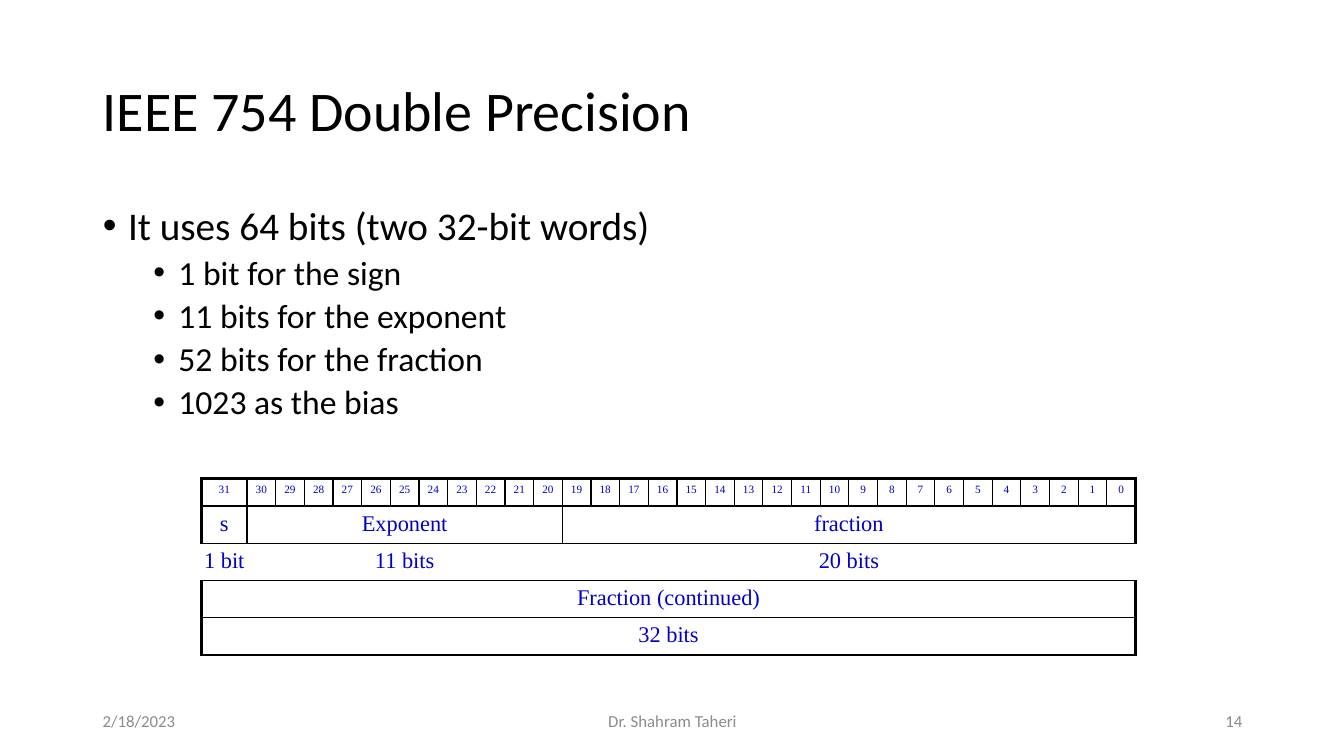
from lxml import etree
from pptx import Presentation
from pptx.dml.color import RGBColor
from pptx.enum.text import MSO_ANCHOR, MSO_AUTO_SIZE, PP_ALIGN
from pptx.oxml.ns import qn
from pptx.util import Inches, Pt

LEFT, CENTER, RIGHT = PP_ALIGN.LEFT, PP_ALIGN.CENTER, PP_ALIGN.RIGHT
MIDDLE = MSO_ANCHOR.MIDDLE
NO_FIT = MSO_AUTO_SIZE.NONE
COLORS = {"text": "000000", "bits": "0000CC", "line": "000000",
          "foot": "8C8C8C", "page": "898989"}
THIN, THICK = 1, 2.25

TITLE = "IEEE 754 Double Precision"
POINTS = [
    (0, "It uses 64 bits (two 32-bit words)"),
    (1, "1 bit for the sign"),
    (1, "11 bits for the exponent"),
    (1, "52 bits for the fraction"),
    (1, "1023 as the bias"),
]
# Each row: height, font size, whether its sides are ruled, (label, span) cells
WORDS = [
    (0.27, 8, True, [(str(bit), 1) for bit in range(31, -1, -1)]),
    (0.37, 16, True, [("s", 1), ("Exponent", 11), ("fraction", 20)]),
    (0.37, 16, False, [("1 bit", 1), ("11 bits", 11), ("20 bits", 20)]),
    (0.37, 16, True, [("Fraction (continued)", 32)]),
    (0.37, 16, True, [("32 bits", 32)]),
]
FOOT = [
    (0, 3, "2/18/2023", LEFT, "foot"),
    (3.5, 4.5, "Dr. Shahram Taheri", CENTER, "foot"),
    (8.5, 3, "14", RIGHT, "page"),
]


def style(para, size, color, font="Calibri", align=LEFT):
    para.alignment = align
    for run in para.runs:
        run.font.size = Pt(size)
        run.font.name = font
        run.font.color.rgb = RGBColor.from_string(COLORS[color])


def place(shape, box):
    shape.left, shape.top, shape.width, shape.height = map(Inches, box)


def add_title(slide, box):
    title = slide.shapes.title
    place(title, box)
    frame = title.text_frame
    frame.text = TITLE
    frame.auto_size = NO_FIT
    frame.vertical_anchor = MIDDLE
    para = frame.paragraphs[0]
    para.line_spacing = 0.9
    style(para, 40, "text")


def add_points(slide, box):
    body = slide.placeholders[1]
    place(body, box)
    frame = body.text_frame
    frame.text = "\n".join(text for _, text in POINTS)
    frame.auto_size = NO_FIT
    for para, (level, _) in zip(frame.paragraphs, POINTS):
        para.level = level
        para.line_spacing = 0.9
        para.space_before = Pt(5 if level else 10)
        style(para, 24 if level else 28, "text")
        props = para._p.get_or_add_pPr()
        props.set("marL", str(Inches(0.25 + 0.5 * level)))
        props.set("indent", str(Inches(-0.25)))
        etree.SubElement(props, qn("a:buFont")).set("typeface", "Arial")
        etree.SubElement(props, qn("a:buChar")).set("char", "•")


def rule(cell, sides):
    """Draw the cell's left, right, top and bottom lines; 0 means none."""
    props = cell._tc.get_or_add_tcPr()
    for side, width in zip("LRTB", sides):
        line = etree.SubElement(props, qn("a:ln" + side))
        line.set("w", str(Pt(width)))
        if width:
            fill = etree.SubElement(line, qn("a:solidFill"))
            etree.SubElement(fill, qn("a:srgbClr")).set("val", COLORS["line"])
        else:
            etree.SubElement(line, qn("a:noFill"))


def add_words(slide, box):
    count, first = 32, 0.45
    grid = slide.shapes.add_table(len(WORDS), count, *map(Inches, box)).table
    grid.first_row = grid.horz_banding = False
    for i, col in enumerate(grid.columns):
        col.width = Inches(first if i == 0 else (box[2] - first) / (count - 1))
    for r, (height, size, ruled, labels) in enumerate(WORDS):
        grid.rows[r].height = Inches(height)
        top = THICK if r == 0 else THIN
        base = THICK if r == len(WORDS) - 1 else THIN
        start = 0
        for label, span in labels:
            end = start + span
            left = ruled * (THIN if start else THICK)
            right = ruled * (THICK if end == count else THIN)
            head = grid.cell(r, start)
            if span > 1:
                head.merge(grid.cell(r, end - 1))
            for c in range(start, end):
                cell = grid.cell(r, c)
                rule(cell, (left if c == start else 0,
                            right if c in (start, end - 1) else 0, top, base))
                cell.fill.background()
                cell.margin_left = cell.margin_right = Inches(0.01)
            head.text = label
            style(head.text_frame.paragraphs[0], size, "bits",
                  "Times New Roman", CENTER)
            start = end


def add_foot(slide, box):
    x, y, _, height = box
    for shift, width, text, align, color in FOOT:
        note = slide.shapes.add_textbox(
            *map(Inches, (x + shift, y, width, height)))
        frame = note.text_frame
        frame.word_wrap = True
        frame.vertical_anchor = MIDDLE
        frame.text = text
        style(frame.paragraphs[0], 12, color, align=align)


def main():
    deck = Presentation()
    deck.slide_width, deck.slide_height = Inches(13.33), Inches(7.5)
    slide = deck.slides.add_slide(deck.slide_layouts[1])
    add_foot(slide, (0.92, 6.95, 11.5, 0.4))
    add_title(slide, (0.92, 0.4, 11.5, 1.45))
    add_points(slide, (0.92, 2, 11.5, 4.76))
    add_words(slide, (2, 4.75, 9.27, 1.75))
    deck.save("out.pptx")


if __name__ == "__main__":
    main()
